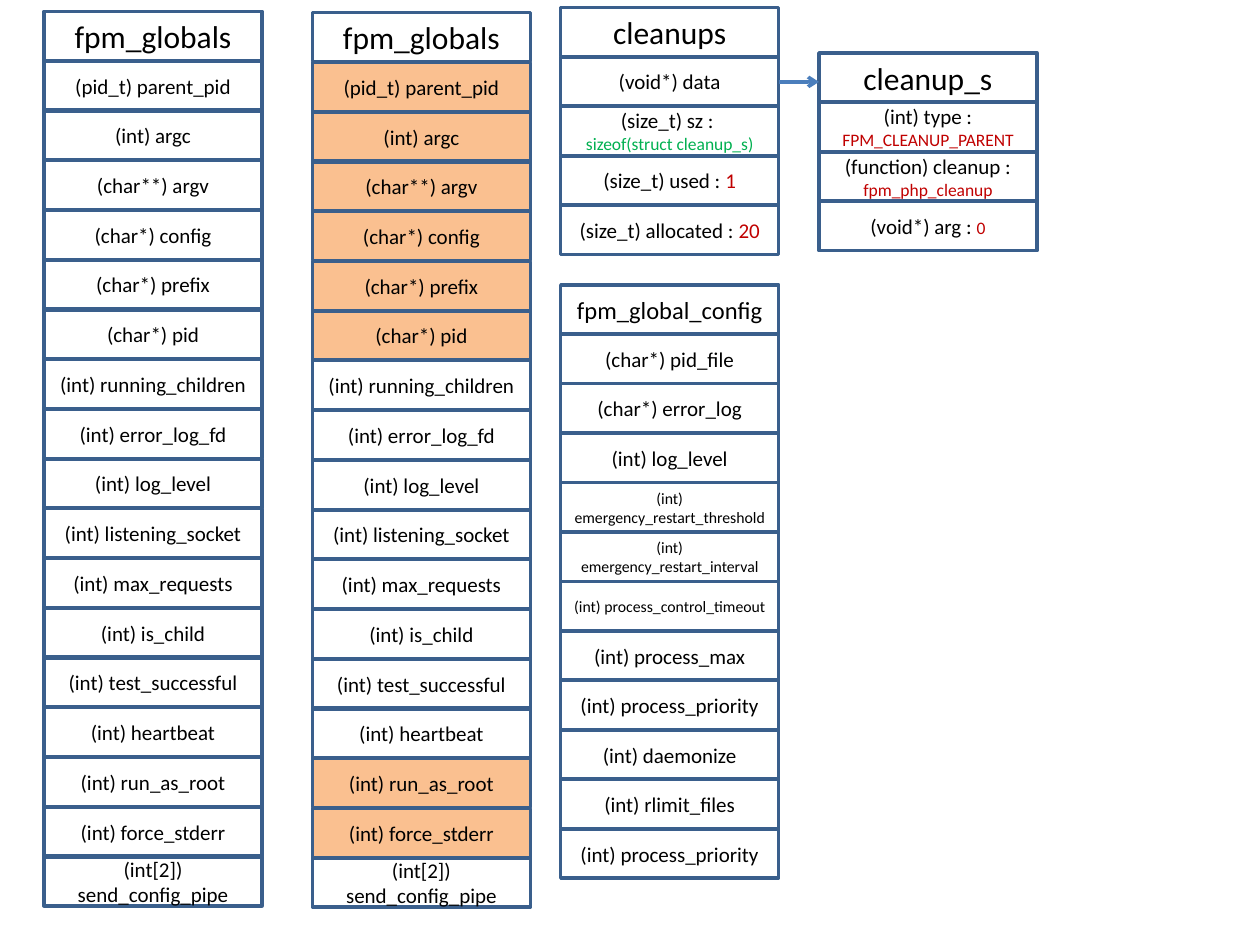
from lxml.etree import SubElement
from pptx import Presentation
from pptx.dml.color import RGBColor
from pptx.enum.shapes import MSO_CONNECTOR, MSO_SHAPE
from pptx.enum.text import MSO_ANCHOR, PP_ALIGN
from pptx.oxml.ns import qn
from pptx.util import Inches, Pt

COLORS = {"text": "000000", "border": "3A5F8C", "arrow": "4B7EBC",
          "changed": "FAC090", "value": "C00000", "size": "00B050"}
FONT = "Calibri"
CELL_WIDTH, CELL_HEIGHT = 1.73, 0.39

GLOBALS = ["(pid_t) parent_pid", "(int) argc", "(char**) argv", "(char*) config",
           "(char*) prefix", "(char*) pid", "(int) running_children",
           "(int) error_log_fd", "(int) log_level", "(int) listening_socket",
           "(int) max_requests", "(int) is_child", "(int) test_successful",
           "(int) heartbeat", "(int) run_as_root", "(int) force_stderr",
           "(int[2]) send_config_pipe"]
CHANGED = GLOBALS[:6] + GLOBALS[14:16]

CLEANUPS = [
    "(void*) data",
    [[("(size_t) sz : ",)], [("sizeof(struct cleanup_s)", 10, "size")]],
    [[("(size_t) used : ",), ("1", 12, "value")]],
    [[("(size_t) allocated : ",), ("20", 12, "value")]],
]
CLEANUP_S = [
    [[("(int) type : ",), ("FPM_CLEANUP_PARENT", 10, "value")]],
    [[("(function) cleanup : ",), ("fpm_php_cleanup", 10, "value")]],
    [[("(void*) arg : ",), ("0", 10, "value")]],
]
GLOBAL_CONFIG = [
    "(char*) pid_file", "(char*) error_log", "(int) log_level",
    [[("(int) emergency_restart_threshold", 9)]],
    [[("(int) emergency_restart_interval", 9)]],
    [[("(int) process_control_timeout", 9)]],
    "(int) process_max", "(int) process_priority", "(int) daemonize",
    "(int) rlimit_files", "(int) process_priority",
]

STRUCTS = [
    dict(group="before", name="fpm_globals", fields=GLOBALS, left=0.35, top=0.09, last=6.8),
    dict(group="after", name="fpm_globals", fields=GLOBALS, left=2.48, top=0.1, last=6.81,
         changed=CHANGED),
    dict(group="cleanup", name="cleanups", fields=CLEANUPS, left=4.45, top=0.06, last=1.63),
    dict(group="cleanup", name="cleanup_s", fields=CLEANUP_S, left=6.5, top=0.42, last=1.6),
    dict(group="config", name="fpm_global_config", fields=GLOBAL_CONFIG, left=4.45, top=2.26,
         last=6.58, title_size=14),
]
POINTER = dict(group="cleanup", start=6.18, end=6.5, height=0.65)


def rgb(name):
    return RGBColor.from_string(COLORS[name])


def write(frame, content, size=12, color="text"):
    frame.word_wrap = True
    frame.vertical_anchor = MSO_ANCHOR.MIDDLE
    paragraphs = [[(content,)]] if isinstance(content, str) else content
    for index, pieces in enumerate(paragraphs):
        paragraph = frame.add_paragraph() if index else frame.paragraphs[0]
        paragraph.alignment = PP_ALIGN.CENTER
        for text, *style in pieces:
            run = paragraph.add_run()
            run.text = text
            run.font.name = FONT
            run.font.size = Pt(style[0] if style else size)
            run.font.color.rgb = rgb(style[1] if len(style) > 1 else color)


def draw_cell(shapes, content, left, top, size=12, changed=False):
    cell = shapes.add_shape(MSO_SHAPE.RECTANGLE, Inches(left), Inches(top),
                            Inches(CELL_WIDTH), Inches(CELL_HEIGHT))
    cell.shadow.inherit = False
    if changed:
        cell.fill.solid()
        cell.fill.fore_color.rgb = rgb("changed")
    else:
        cell.fill.background()
    cell.line.color.rgb = rgb("border")
    cell.line.width = Pt(2)
    write(cell.text_frame, content, size=size)


def draw_struct(shapes, name, fields, left, top, last, changed=(), title_size=18):
    pitch = (last - top) / len(fields)
    draw_cell(shapes, name, left, top, size=title_size)
    for row, field in enumerate(fields, 1):
        draw_cell(shapes, field, left, top + row * pitch, changed=field in changed)


def draw_pointer(shapes, start, end, height):
    pointer = shapes.add_connector(MSO_CONNECTOR.STRAIGHT, Inches(start), Inches(height),
                                   Inches(end), Inches(height))
    pointer.line.color.rgb = rgb("arrow")
    pointer.line.width = Pt(2)
    SubElement(pointer.line._get_or_add_ln(), qn("a:tailEnd"), type="arrow")
    SubElement(pointer._element.spPr, qn("a:effectLst"))


deck = Presentation()
deck.slide_width, deck.slide_height = Inches(10), Inches(7.5)
slide = deck.slides.add_slide(deck.slide_layouts[6])

groups = {}
for draw, items in ((draw_struct, STRUCTS), (draw_pointer, [POINTER])):
    for item in items:
        key = item["group"]
        if key not in groups:
            groups[key] = slide.shapes.add_group_shape()
        draw(groups[key].shapes, **{k: v for k, v in item.items() if k != "group"})

deck.save("out.pptx")
